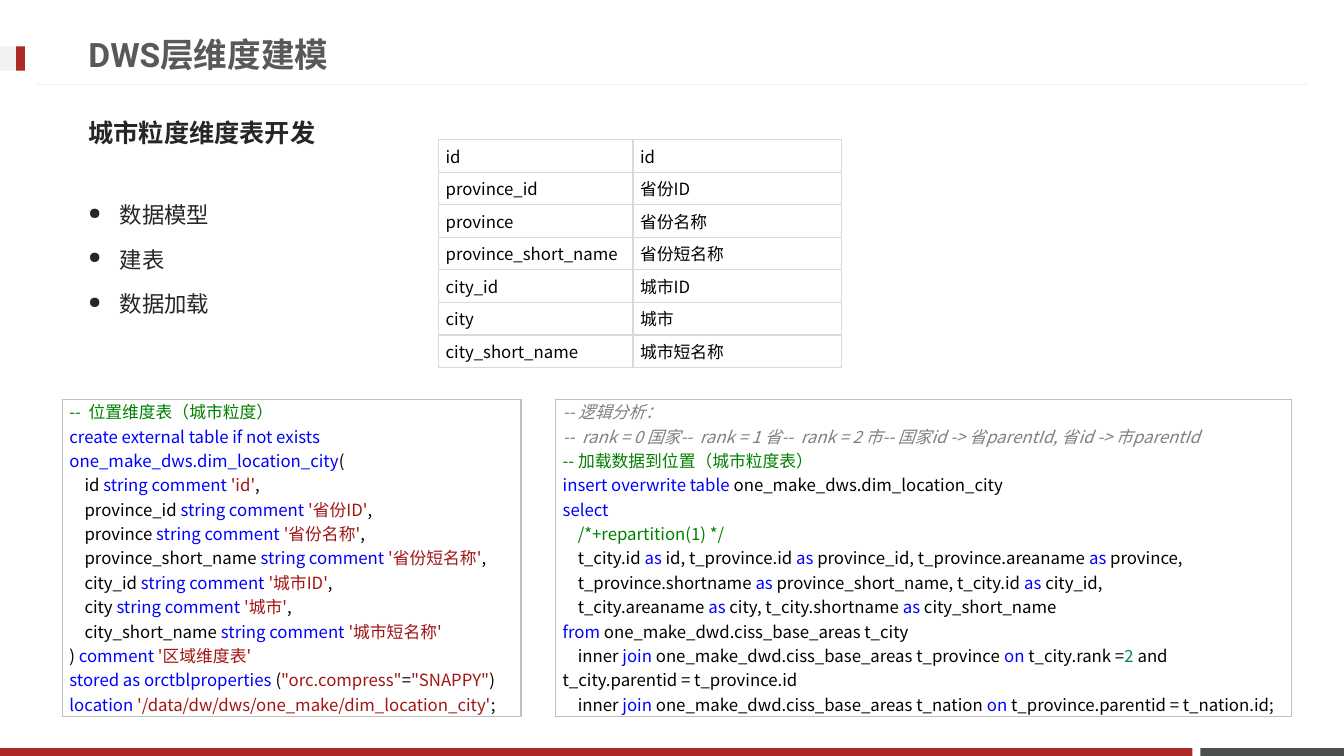
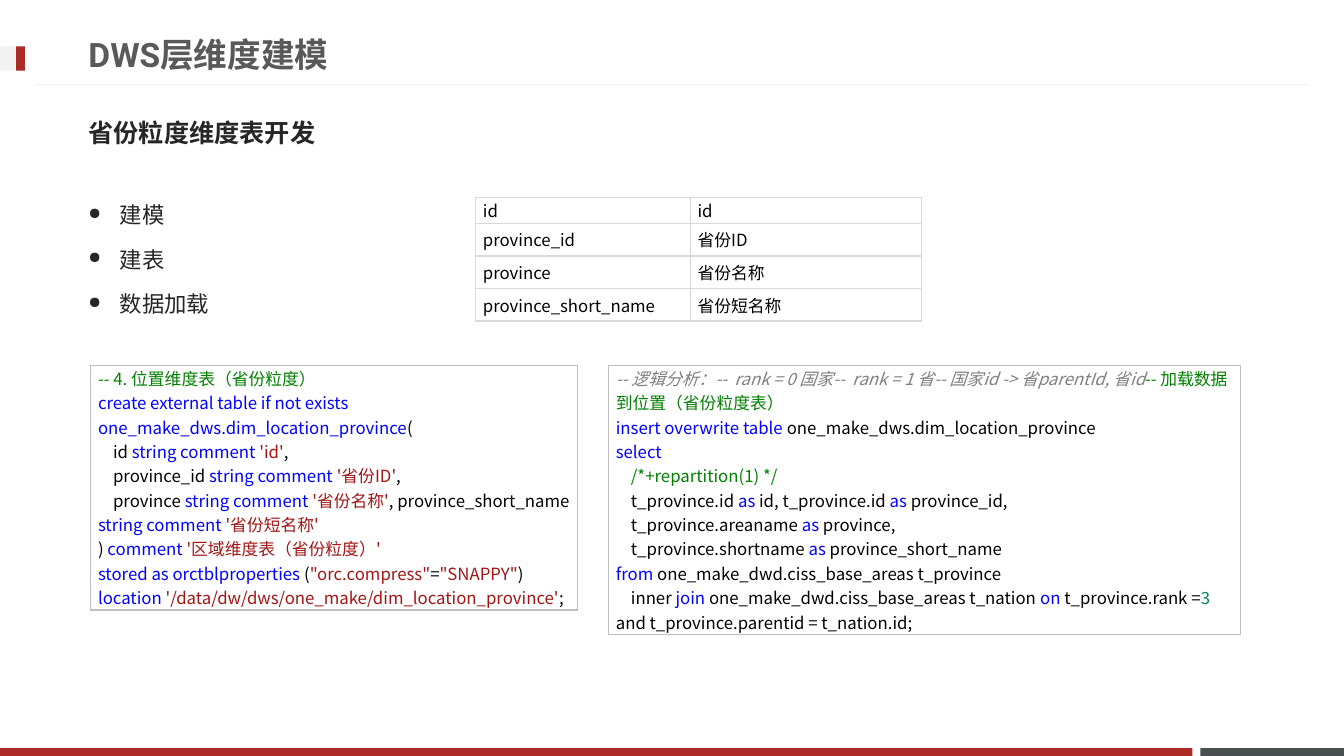
from lxml import etree
from pptx import Presentation
from pptx import util as u
from pptx.dml.color import RGBColor
from pptx.enum import shapes, text
from pptx.oxml import ns

COLORS = {
    "red": "AD2B26", "slate": "49504F", "pale": "F2F2F2",
    "title": "595959", "body": "262626", "grid": "D9D9D9", "frame": "BFBFBF",
    "plain": "000000", "keyword": "0000FF", "string": "A31515",
    "comment": "008000", "analysis": "808080", "number": "098658",
}
STYLES = {"p": "plain", "k": "keyword", "s": "string",
          "c": "comment", "a": "analysis", "n": "number"}
SANS, BODY, HEAD = "Noto Sans CJK SC", "Noto Sans CJK JP", "Roboto"
LEFT = 1.98
SLIDE_W, SLIDE_H = 33.87, 19.05
ROW_H = 0.82
CODE_INDENT = 0.38


def color(key):
    return RGBColor.from_string(COLORS[key])


def cm(*lengths):
    return [u.Cm(length) for length in lengths]


def sub(parent, tag, **attributes):
    return etree.SubElement(parent, ns.qn(tag), {k: str(v) for k, v in attributes.items()})


def style_run(run, size, key, latin, asian=None, bold=False, italic=False):
    font = run.font
    font.size, font.bold, font.italic = u.Pt(size), bold, italic
    font.color.rgb = color(key)
    font.name = latin
    sub(run._r.get_or_add_rPr(), "a:ea", typeface=asian or latin)


def add_block(slide, box, key):
    block = slide.shapes.add_shape(shapes.MSO_SHAPE.RECTANGLE, *cm(*box))
    block.shadow.inherit = False
    block.fill.solid()
    block.fill.fore_color.rgb = color(key)
    block.line.fill.background()


def add_frame(slide):
    add_block(slide, (30.25, 18.85, 3.62, 0.2), "slate")
    add_block(slide, (0, 18.85, 30.05, 0.2), "red")
    add_block(slide, (0, 1.17, 0.63, 0.61), "pale")
    add_block(slide, (0.41, 1.17, 0.22, 0.61), "red")
    rule = slide.shapes.add_connector(
        shapes.MSO_CONNECTOR.STRAIGHT, *cm(0.9, 2.13, 32.97, 2.13))
    rule.line.color.rgb = color("pale")
    rule.line.width = u.Pt(0.75)
    sub(rule._element.spPr, "a:effectLst")


def add_text(slide, box, lines, anchor):
    frame = slide.shapes.add_textbox(*cm(*box)).text_frame
    frame.word_wrap = True
    frame.vertical_anchor = anchor
    frame.text = "\n".join(lines)
    return frame.paragraphs


def add_headings(slide, title, subtitle):
    middle = text.MSO_ANCHOR.MIDDLE
    heading, = add_text(slide, (LEFT, 0.65, 24.36, 1.45), [title], middle)
    style_run(heading.runs[0], 24, "title", HEAD, SANS, bold=True)
    topic, = add_text(slide, (LEFT, 2.62, 29.72, 1.45), [subtitle], middle)
    style_run(topic.runs[0], 18, "body", BODY, bold=True)


def add_steps(slide, box, steps):
    for step in add_text(slide, box, steps, text.MSO_ANCHOR.TOP):
        step.line_spacing = 1.5
        step.space_before = u.Pt(3.2)
        style_run(step.runs[0], 16, "body", BODY)
        props = step._p.get_or_add_pPr()
        props.set("marL", str(u.Cm(0.79)))
        props.set("indent", str(-u.Cm(0.79)))
        sub(props, "a:buSzPct", val=72000)
        sub(props, "a:buChar", char="●")


def add_grid(slide, left, top, widths, heights, border):
    box = cm(left, top, sum(widths), sum(heights))
    grid = slide.shapes.add_table(len(heights), len(widths), *box).table
    grid.first_row = grid.horz_banding = False
    for column, width in zip(grid.columns, widths):
        column.width = u.Cm(width)
    for row, height in zip(grid.rows, heights):
        row.height = u.Cm(height)
    for cell in grid.iter_cells():
        cell.margin_left = cell.margin_right = u.Cm(0.18)
        cell.margin_top = cell.margin_bottom = 0
        props = cell._tc.get_or_add_tcPr()
        for side in ("L", "R", "T", "B"):
            edge = sub(props, f"a:ln{side}", w=u.Pt(1))
            sub(sub(edge, "a:solidFill"), "a:srgbClr", val=COLORS[border])
        cell.fill.background()
    return grid


def add_fields(slide, left, top, widths, heights, fields):
    grid = add_grid(slide, left, top, widths, heights, "grid")
    for r, field in enumerate(fields):
        for c, label in enumerate(field):
            cell = grid.cell(r, c)
            cell.vertical_anchor = text.MSO_ANCHOR.MIDDLE
            cell.text_frame.text = label
            style_run(cell.text_frame.paragraphs[0].runs[0], 12, "plain", SANS)


def write_code_line(paragraph, line):
    if line.startswith(">"):
        props = paragraph._p.get_or_add_pPr()
        props.set("marL", "0")
        props.set("indent", str(u.Cm(CODE_INDENT)))
        line = line[1:]
    for part in ("p" + line).split("~"):
        if part[1:]:
            run = paragraph.add_run()
            run.text = part[1:]
            style_run(run, 12, STYLES[part[0]], SANS, italic=part[0] == "a")


def add_code(slide, left, top, width, height, lines):
    frame = add_grid(slide, left, top, [width], [height], "frame").cell(0, 0).text_frame
    for i, line in enumerate(lines):
        write_code_line(frame.add_paragraph() if i else frame.paragraphs[0], line)


def column_def(name, label, end=","):
    return f"{name} ~kstring comment ~s'{label}'~p{end}"


def create_table(note, table, columns, remark):
    return [
        f"~c{note}",
        f"~kcreate external table if not exists one_make_dws.{table}~p(",
        *columns,
        f") ~kcomment ~s'{remark}'",
        "~kstored as orctblproperties~p (~s\"orc.compress\"~p=~s\"SNAPPY\"~p)",
        f"~klocation ~s'/data/dw/dws/one_make/{table}'~p;",
    ]


def insert_select(notes, table, columns, source, joins):
    return [
        *notes,
        f"~kinsert overwrite table~p one_make_dws.{table}",
        "~kselect",
        ">~c/*+repartition(1) */",
        *[">" + column.replace(" as ", " ~kas~p ") for column in columns],
        f"~kfrom~p one_make_dwd.ciss_base_areas {source}",
        *[f">inner ~kjoin~p one_make_dwd.ciss_base_areas {alias} ~kon~p {condition}"
          for alias, condition in joins],
    ]


def add_model_slide(deck, subtitle, steps, fields, ddl, load):
    slide = deck.slides.add_slide(deck.slide_layouts[6])
    add_frame(slide)
    add_headings(slide, "DWS层维度建模", subtitle)
    add_steps(slide, (LEFT, 4.6, 29.72, 11.71), steps)
    add_fields(slide, *fields)
    add_code(slide, *ddl)
    add_code(slide, *load)


PROVINCE_FIELDS = [("id", "id"), ("province_id", "省份ID"),
                   ("province", "省份名称"), ("province_short_name", "省份短名称")]
CITY_FIELDS = PROVINCE_FIELDS + [("city_id", "城市ID"), ("city", "城市"),
                                 ("city_short_name", "城市短名称")]

CITY_DDL = create_table(
    "--  位置维度表（城市粒度）", "dim_location_city",
    [">" + column_def(*field) for field in CITY_FIELDS[:-1]]
    + [">" + column_def(*CITY_FIELDS[-1], end="")],
    "区域维度表")
CITY_LOAD = insert_select(
    ["~a-- 逻辑分析：",
     "~a--  rank = 0 国家--  rank = 1 省--  rank = 2 市-- 国家id -> 省parentId, 省id -> 市parentId",
     "~c-- 加载数据到位置（城市粒度表）"],
    "dim_location_city",
    ["t_city.id as id, t_province.id as province_id, t_province.areaname as province,",
     "t_province.shortname as province_short_name, t_city.id as city_id,",
     "t_city.areaname as city, t_city.shortname as city_short_name"],
    "t_city",
    [("t_province", "t_city.rank =~n2~p and t_city.parentid = t_province.id"),
     ("t_nation", "t_province.parentid = t_nation.id;")])

PROVINCE_DDL = create_table(
    "-- 4. 位置维度表（省份粒度）", "dim_location_province",
    [">" + column_def(*field) for field in PROVINCE_FIELDS[:2]]
    + [">" + column_def(*PROVINCE_FIELDS[2]) + " " + column_def(*PROVINCE_FIELDS[3], end="")],
    "区域维度表（省份粒度）")
PROVINCE_LOAD = insert_select(
    ["~a-- 逻辑分析：--  rank = 0 国家--  rank = 1 省-- 国家id -> 省parentId, 省id"
     "~c-- 加载数据到位置（省份粒度表）"],
    "dim_location_province",
    ["t_province.id as id, t_province.id as province_id,",
     "t_province.areaname as province,",
     "t_province.shortname as province_short_name"],
    "t_province",
    [("t_nation", "t_province.rank =~n3~p and t_province.parentid = t_nation.id;")])


def main():
    deck = Presentation()
    deck.slide_width, deck.slide_height = cm(SLIDE_W, SLIDE_H)
    add_model_slide(
        deck, "城市粒度维度表开发", ["数据模型", "建表", "数据加载"],
        (11.05, 3.52, (4.9, 5.26), [ROW_H] * 7, CITY_FIELDS),
        (1.57, 10.06, 11.56, 8, CITY_DDL),
        (14, 10.06, 18.54, 8, CITY_LOAD))
    add_model_slide(
        deck, "省份粒度维度表开发", ["建模", "建表", "数据加载"],
        (11.99, 4.97, (5.41, 5.82), [0.66] + [ROW_H] * 3, PROVINCE_FIELDS),
        (2.29, 9.22, 12.27, 6.15, PROVINCE_DDL),
        (15.34, 9.22, 15.92, 6.77, PROVINCE_LOAD))
    deck.save("out.pptx")


if __name__ == "__main__":
    main()
